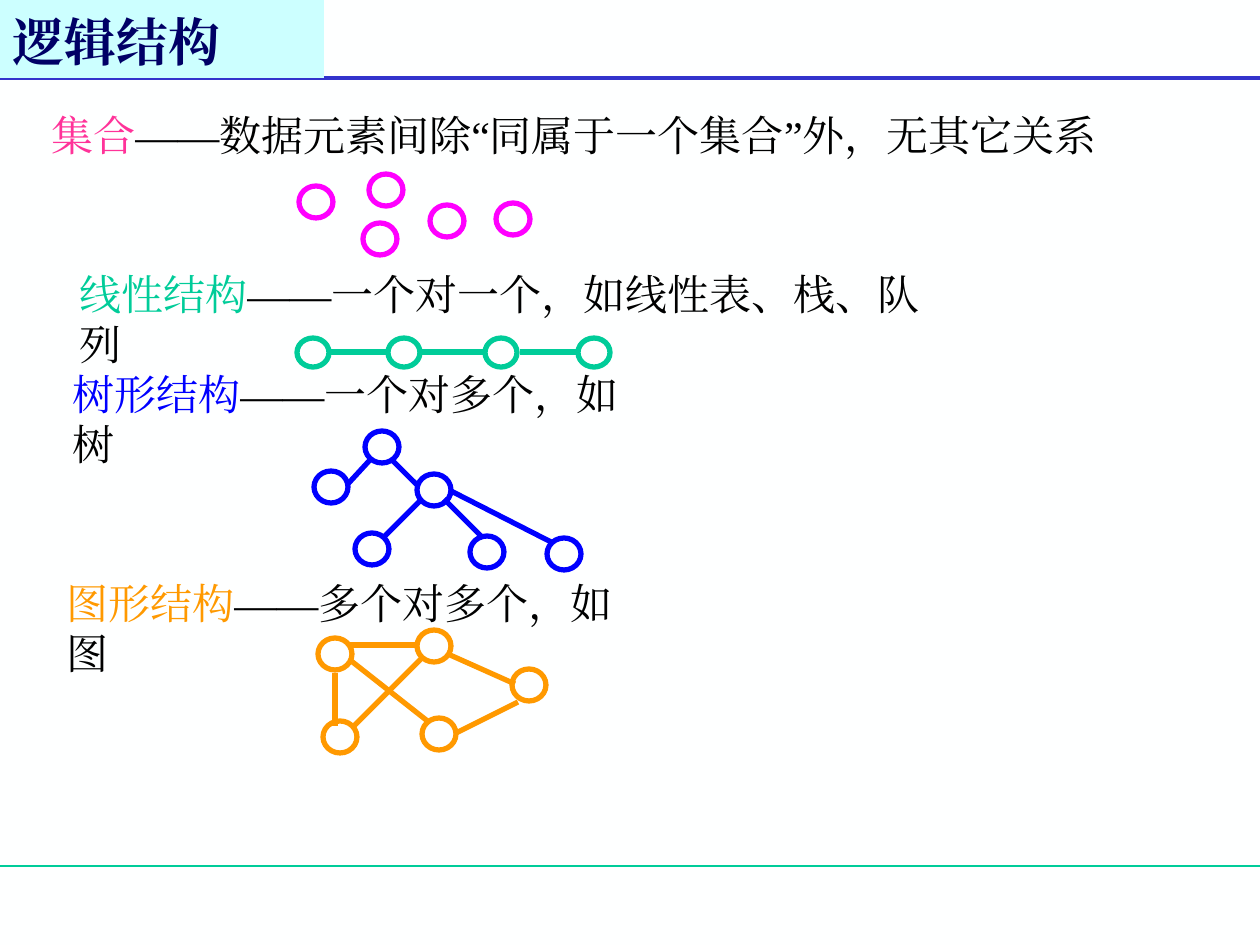
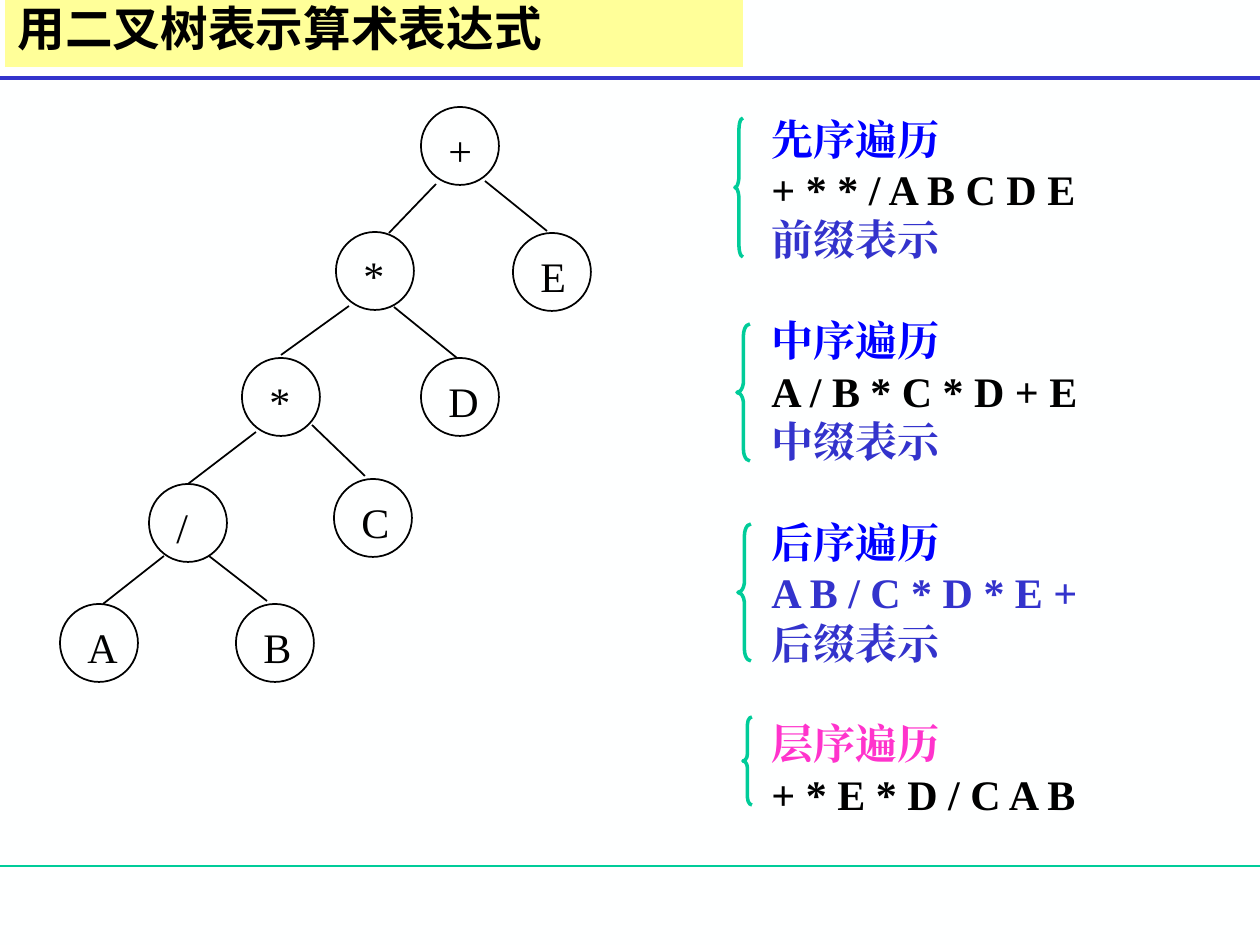
from dataclasses import dataclass

from lxml.etree import SubElement
from pptx import Presentation
from pptx.dml.color import RGBColor
from pptx.enum.shapes import MSO_CONNECTOR, MSO_SHAPE
from pptx.enum.text import MSO_ANCHOR, MSO_AUTO_SIZE, PP_ALIGN
from pptx.oxml.ns import qn
from pptx.util import Pt

PX = 914400 // 126


@dataclass(frozen=True)
class Theme:
    background: str = "FEFFFF"
    rule: str = "3333CC"
    green: str = "00CC99"
    black: str = "000000"
    blue: str = "0000FF"
    orange: str = "FF9900"
    magenta: str = "FF00FF"
    rose: str = "FF3399"
    pink: str = "FF33CC"
    navy: str = "000066"
    pale_cyan: str = "CCFFFF"
    pale_yellow: str = "FFFF99"
    serif: str = "Times New Roman"
    sans: str = "Noto Sans CJK SC"
    body_size: float = 24
    body_spacing: float = 28.8


theme = Theme()


def add_outline(slide, kind, box, color, width):
    """Draw a line (box is x1, y1, x2, y2) or an unfilled shape (left, top, width, height)."""
    lengths = [value * PX for value in box]
    if kind is MSO_CONNECTOR.STRAIGHT:
        shape = slide.shapes.add_connector(kind, *lengths)
    else:
        shape = slide.shapes.add_shape(kind, *lengths)
        shape.shadow.inherit = False
        shape.fill.background()
    shape.line.color.rgb = RGBColor.from_string(color)
    shape.line.width = Pt(width)
    if kind is MSO_CONNECTOR.STRAIGHT:
        SubElement(shape._element.spPr, qn("a:effectLst"))
    return shape


def write_lines(text_frame, lines, size=theme.body_size, face=theme.serif,
                bold=False, spacing=Pt(theme.body_spacing)):
    """Write one paragraph per line; a line is a list of (text, color) runs."""
    text_frame.word_wrap = True
    text_frame.auto_size = MSO_AUTO_SIZE.NONE
    for index, line in enumerate(lines):
        paragraph = text_frame.add_paragraph() if index else text_frame.paragraphs[0]
        paragraph.alignment = PP_ALIGN.LEFT
        paragraph.line_spacing = spacing
        paragraph.font.size = Pt(size)
        paragraph.font.bold = bold
        paragraph.font.name = face
        defaults = paragraph._p.pPr.find(qn("a:defRPr"))
        SubElement(defaults, qn("a:ea"), typeface=face)
        for text, color in line:
            run = paragraph.add_run()
            run.text = text
            run.font.color.rgb = RGBColor.from_string(color)


presentation = Presentation()
presentation.slide_width = 1260 * PX
presentation.slide_height = 945 * PX
background = presentation.slide_master.background.fill
background.solid()
background.fore_color.rgb = RGBColor.from_string(theme.background)

# Shared frame: two rules and a filled title
titles = [
    ("逻辑结构", (0, 0, 324, 78), theme.pale_cyan, theme.navy,
     29.6, theme.serif, MSO_ANCHOR.BOTTOM, 1.0),
    ("用二叉树表示算术表达式", (5, -4, 738, 71), theme.pale_yellow, theme.black,
     27.2, theme.sans, MSO_ANCHOR.MIDDLE, 0.9),
]
slides = []
for text, box, fill, color, size, face, anchor, spacing in titles:
    slide = presentation.slides.add_slide(presentation.slide_layouts[5])
    add_outline(slide, MSO_CONNECTOR.STRAIGHT, (0, 866, 1260, 866), theme.green, 0.75)
    add_outline(slide, MSO_CONNECTOR.STRAIGHT, (0, 78, 1260, 78), theme.rule, 2.25)
    title = slide.shapes.title
    title.left, title.top, title.width, title.height = [value * PX for value in box]
    title.fill.solid()
    title.fill.fore_color.rgb = RGBColor.from_string(fill)
    title.text_frame.vertical_anchor = anchor
    write_lines(title.text_frame, [[(text, color)]], size, face, True, spacing)
    slide.shapes._spTree.append(title._element)  # bring the title in front of the rules
    slides.append(slide)
structures_slide, expression_slide = slides

# Slide 1: four logical structures
# name, name color, description, text box, diagram color, node size, nodes, edges
structures = [
    ("集合", theme.rose, "——数据元素间除“同属于一个集合”外，无其它关系", (39, 103, 1084, 63),
     theme.magenta, (34, 32),
     [(299, 186), (369, 174), (363, 223), (430, 205), (496, 203)],
     []),
    ("线性结构", theme.green, "——一个对一个，如线性表、栈、队列", (67, 262, 873, 63),
     theme.green, (32, 29),
     [(297, 338), (388, 338), (485, 338), (578, 338)],
     [(329, 352, 387, 352), (418, 352, 486, 352), (520, 352, 576, 352)]),
    ("树形结构", theme.blue, "——一个对多个，如树", (60, 362, 580, 63),
     theme.blue, (34, 32),
     [(365, 431), (314, 471), (417, 474), (355, 533), (470, 536), (547, 538)],
     [(370, 460, 347, 485), (420, 501, 383, 538), (391, 459, 417, 485),
      (444, 499, 483, 538), (451, 491, 553, 543)]),
    ("图形结构", theme.orange, "——多个对多个，如图", (54, 571, 580, 63),
     theme.orange, (34, 32),
     [(417, 630), (323, 721), (422, 718), (512, 669), (318, 638)],
     [(335, 673, 335, 726), (350, 660, 430, 723), (450, 655, 515, 684),
      (422, 658, 352, 728), (518, 702, 456, 733), (350, 645, 418, 645)]),
]
for name, name_color, description, box, color, node_size, nodes, edges in structures:
    for node in nodes:
        add_outline(structures_slide, MSO_SHAPE.OVAL, node + node_size, color, 3)
    for edge in edges:
        add_outline(structures_slide, MSO_CONNECTOR.STRAIGHT, edge, color, 3)
    label = structures_slide.shapes.add_textbox(*[value * PX for value in box])
    write_lines(label.text_frame, [[(name, name_color), (description, theme.black)]])

# Slide 2: expression tree
tree_nodes = [
    ("+", 421, 107), ("*", 336, 232), ("E", 513, 233),
    ("*", 242, 358), ("D", 421, 358), ("/", 149, 484),
    ("C", 334, 479), ("A", 60, 604), ("B", 236, 604),
]
tree_edges = [
    (436, 184, 389, 233), (485, 181, 547, 231), (349, 306, 281, 355),
    (394, 307, 457, 358), (256, 432, 188, 484), (312, 425, 365, 476),
    (164, 556, 103, 604), (209, 556, 267, 601),
]
for symbol, left, top in tree_nodes:
    add_outline(expression_slide, MSO_SHAPE.OVAL, (left, top, 78, 78), theme.black, 1)
    label = expression_slide.shapes.add_textbox(
        (left + 15) * PX, (top + 11) * PX, 56 * PX, 63 * PX)
    write_lines(label.text_frame, [[(symbol, theme.black)]])
for edge in tree_edges:
    add_outline(expression_slide, MSO_CONNECTOR.STRAIGHT, edge, theme.black, 1)

# Slide 2: traversals, each with its brace
traversals = [
    ((735, 118, 8, 139), [("先序遍历", theme.blue), ("+ * * / A B C D E", theme.black),
                          ("前缀表示", theme.rule)]),
    ((737, 324, 13, 137), [("中序遍历", theme.blue), ("A / B * C * D + E", theme.black),
                           ("中缀表示", theme.rule)]),
    ((738, 524, 13, 137), [("后序遍历", theme.blue), ("A B / C * D * E +", theme.rule),
                           ("后缀表示", theme.rule)]),
    ((743, 717, 9, 88), [("层序遍历", theme.pink), ("+ * E * D / C A B", theme.black)]),
]
traversal_lines = []
group_starts = []
for brace_box, lines in traversals:
    brace = add_outline(expression_slide, MSO_SHAPE.LEFT_BRACE, brace_box, theme.green, 2)
    brace.adjustments[0] = brace_box[3] / brace_box[2] / 12
    group_starts.append(len(traversal_lines))
    traversal_lines += [[line] for line in lines]
traversal_text = expression_slide.shapes.add_textbox(759 * PX, 107 * PX, 334 * PX, 718 * PX)
write_lines(traversal_text.text_frame, traversal_lines, bold=True)
for start in group_starts[1:]:
    traversal_text.text_frame.paragraphs[start].space_before = Pt(theme.body_spacing)

presentation.save("out.pptx")
